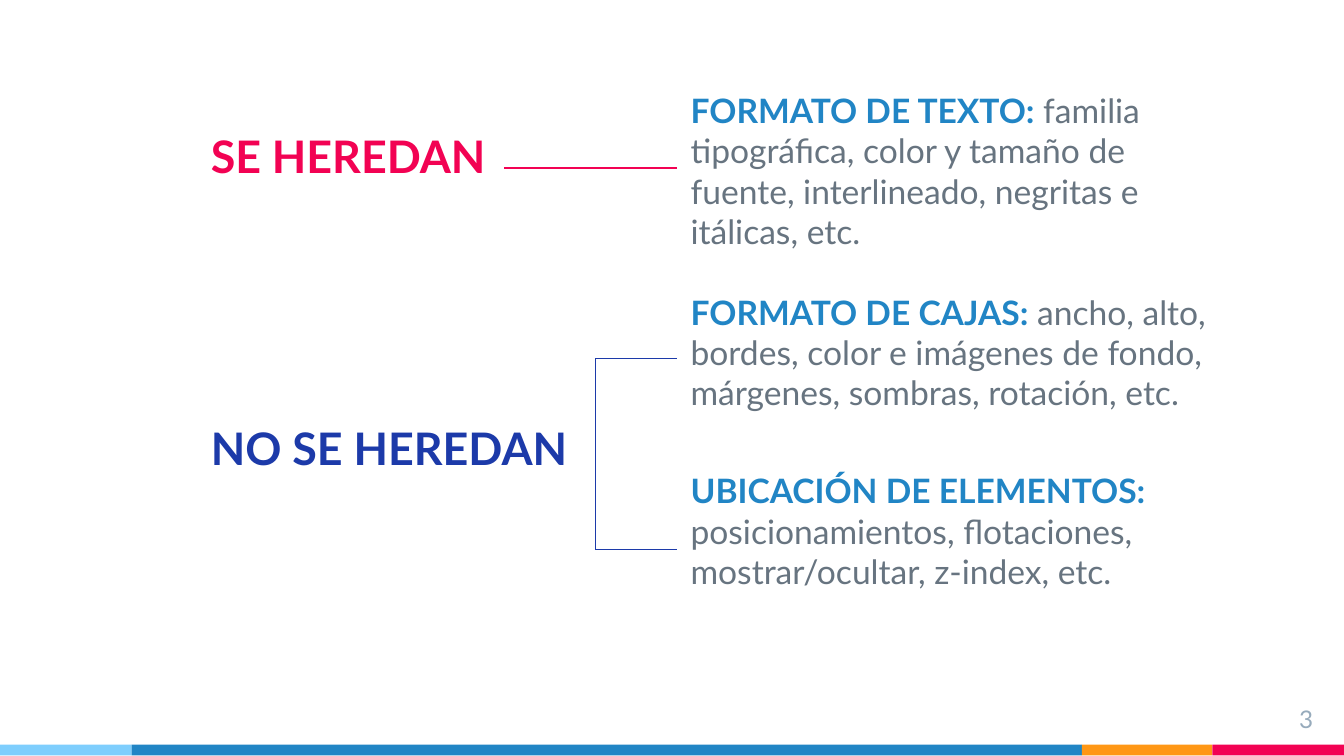
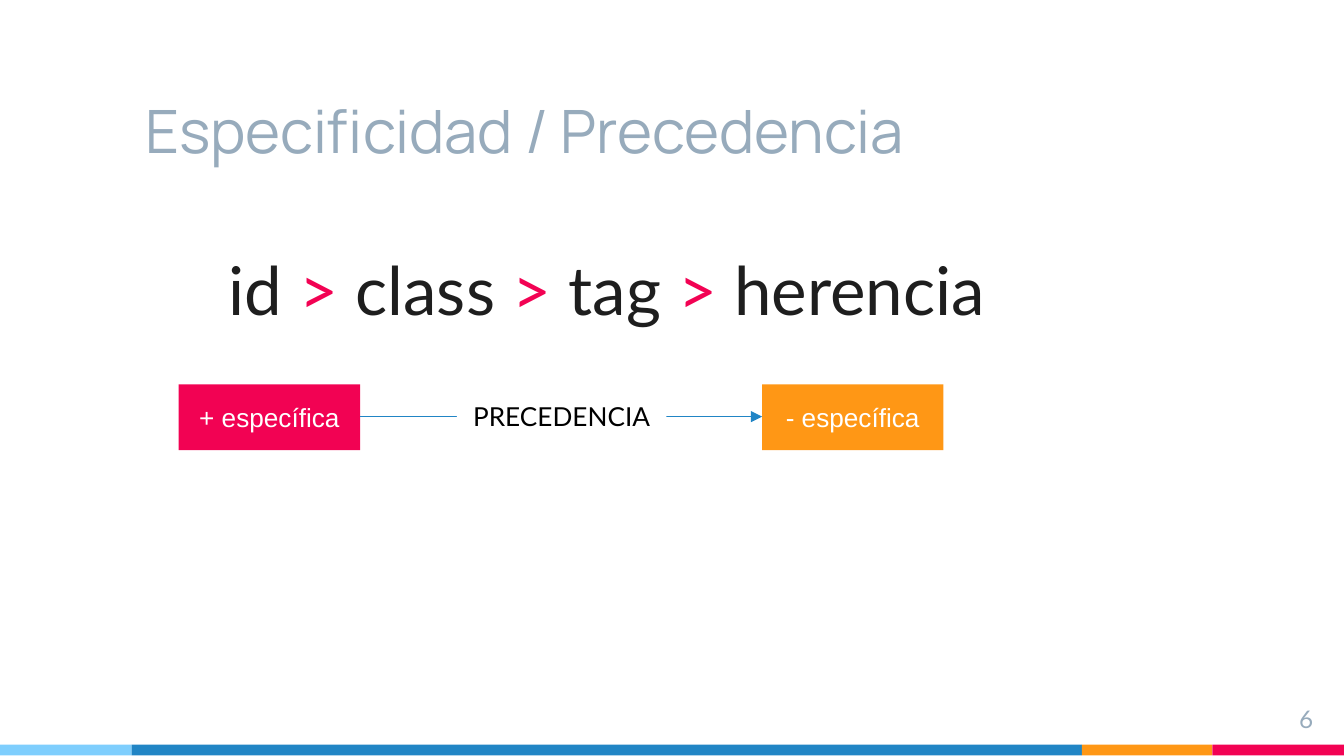
from lxml import etree
from pptx import Presentation
from pptx.dml.color import RGBColor
from pptx.enum.shapes import MSO_CONNECTOR, MSO_SHAPE
from pptx.enum.text import MSO_ANCHOR, MSO_AUTO_SIZE, PP_ALIGN
from pptx.oxml.ns import qn
from pptx.util import Inches, Pt

LEFT, CENTER, RIGHT = PP_ALIGN.LEFT, PP_ALIGN.CENTER, PP_ALIGN.RIGHT
TOP, MIDDLE, BOTTOM = MSO_ANCHOR.TOP, MSO_ANCHOR.MIDDLE, MSO_ANCHOR.BOTTOM
FIXED, GROW = MSO_AUTO_SIZE.NONE, MSO_AUTO_SIZE.SHAPE_TO_FIT_TEXT
RECTANGLE, STRAIGHT = MSO_SHAPE.RECTANGLE, MSO_CONNECTOR.STRAIGHT
TITLE_ONLY, BLANK = 5, 6

PINK, ORANGE, SKY, BLUE, NAVY = "F20253", "FF9715", "7ECEFD", "2185C5", "1C3AA9"
MIST, SLATE, INK, WHITE, BLACK = "97ABBC", "677480", "1E1E1E", "FFFFFF", "000000"
BODY_FONT, TITLE_FONT, TAG_FONT = "Lato", "Manrope", "Arial"


def color(value):
    """Turn a hex string into a colour."""
    return RGBColor.from_string(value)


def write(shape, spans, size, font=BODY_FONT, align=LEFT, anchor=TOP,
          before=0, after=0, fit=FIXED):
    """Fill a shape with one paragraph of (text, colour, bold) spans."""
    frame = shape.text_frame
    frame.word_wrap = True
    frame.auto_size = fit
    frame.vertical_anchor = anchor
    frame.margin_left = frame.margin_right = Inches(0.1)
    frame.margin_top = frame.margin_bottom = Inches(0.1)
    para = frame.paragraphs[0]
    para.alignment = align
    para.space_before, para.space_after = Pt(before), Pt(after)
    for text, tint, bold in spans:
        span = para.add_run()
        span.text = text
        span.font.name = font
        span.font.size = Pt(size)
        span.font.bold = bold
        span.font.color.rgb = color(tint)


class Slides:
    """Hold the deck, its style and the current page."""

    def __init__(self):
        """Start a 16:9 deck."""
        self.deck = Presentation()
        self.deck.slide_width = Inches(10)
        self.deck.slide_height = Inches(10) * 9 // 16
        self.page = None

    def start(self, number, title=None):
        """Add a page with its bands, number and optional title."""
        layout = BLANK if title is None else TITLE_ONLY
        self.page = self.deck.slides.add_slide(self.deck.slide_layouts[layout])
        self.page.background.fill.solid()
        self.page.background.fill.fore_color.rgb = color(WHITE)
        left = 0
        for width, fill in ((0.98, SKY), (7.07, BLUE), (0.97, ORANGE), (0.98, PINK)):
            self.block(left, 5.54, width, 0.08, fill)
            left += width
        if title is not None:
            self.title(title)
        self.text(9.27, 5.14, 0.6, 0.34, [(str(number), MIST, False)], 13, align=RIGHT)

    def title(self, text):
        """Place and format the title placeholder."""
        box = self.page.shapes.title
        box.left, box.top = Inches(0.98), Inches(0.39)
        box.width, box.height = Inches(8.34), Inches(0.94)
        write(box, [(text, MIST, False)], 32, TITLE_FONT, anchor=BOTTOM)

    def text(self, left, top, width, height, spans, size, **style):
        """Add a text box."""
        box = self.page.shapes.add_textbox(
            Inches(left), Inches(top), Inches(width), Inches(height))
        write(box, spans, size, **style)

    def block(self, left, top, width, height, fill):
        """Add a plain filled rectangle."""
        shape = self.page.shapes.add_shape(
            RECTANGLE, Inches(left), Inches(top), Inches(width), Inches(height))
        shape.shadow.inherit = False
        shape.fill.solid()
        shape.fill.fore_color.rgb = color(fill)
        shape.line.fill.background()
        return shape

    def line(self, x1, y1, x2, y2, tint, arrow=False):
        """Add a thin straight line, with an arrowhead at its end if asked."""
        link = self.page.shapes.add_connector(
            STRAIGHT, Inches(x1), Inches(y1), Inches(x2), Inches(y2))
        link.line.color.rgb = color(tint)
        link.line.width = Pt(0.75)
        properties = link._element.spPr
        etree.SubElement(properties, qn("a:effectLst"))
        if arrow:
            etree.SubElement(properties.find(qn("a:ln")), qn("a:tailEnd"), type="triangle")


def inheritance(slides):
    """Build the page on what is inherited and what is not."""
    slides.start(3)
    details = (
        (0.57, "FORMATO DE TEXTO:", " familia tipográfica, color y tamaño de fuente, "
         "interlineado, negritas e itálicas, etc."),
        (2.07, "FORMATO DE CAJAS:", " ancho, alto, bordes, color e imágenes de fondo, "
         "márgenes, sombras, rotación, etc."),
        (3.4, "UBICACIÓN DE ELEMENTOS:", " posicionamientos, flotaciones, "
         "mostrar/ocultar, z-index, etc."),
    )
    text_left = 5.04
    for top, heading, detail in details:
        spans = [(heading, BLUE, True), (detail, SLATE, False)]
        slides.text(text_left, top, 4.23, 1.28, spans, 18, before=6)
    for top, label, tint in ((0.86, "SE HEREDAN", PINK), (3.03, "NO SE HEREDAN", NAVY)):
        slides.text(1.47, top, 3.43, 0.69, [(label, tint, True)], 24, before=6)
    slides.line(3.75, 1.25, text_left, 1.25, PINK)
    bracket_left, bracket_top, bracket_bottom = 4.43, 2.67, 4.09
    for y in (bracket_top, bracket_bottom):
        slides.line(bracket_left, y, text_left, y, NAVY)
    slides.line(bracket_left, bracket_bottom, bracket_left, bracket_top, NAVY)


def precedence(slides):
    """Build the page on specificity and precedence."""
    slides.start(6, "Especificidad / Precedencia")
    spans = [("id ", INK, False)]
    for word in (" class ", " tag ", " herencia"):
        spans += [(">", PINK, False), (word, INK, False)]
    slides.text(0.98, 1.75, 7.07, 0.94, spans, 36, align=CENTER, before=6, after=10)
    for left, label, fill in ((1.33, "+ específica", PINK), (5.67, "- específica", ORANGE)):
        tag = slides.block(left, 2.86, 1.35, 0.49, fill)
        write(tag, [(label, WHITE, False)], 14, TAG_FONT, CENTER, MIDDLE)
    slides.line(2.68, 3.1, 5.67, 3.1, BLUE, arrow=True)
    caption = slides.block(3.4, 2.88, 1.56, 0.44, WHITE)
    write(caption, [("PRECEDENCIA", BLACK, False)], 14, align=CENTER, fit=GROW)


def main():
    """Build and save the deck."""
    slides = Slides()
    inheritance(slides)
    precedence(slides)
    slides.deck.save("out.pptx")


main()
